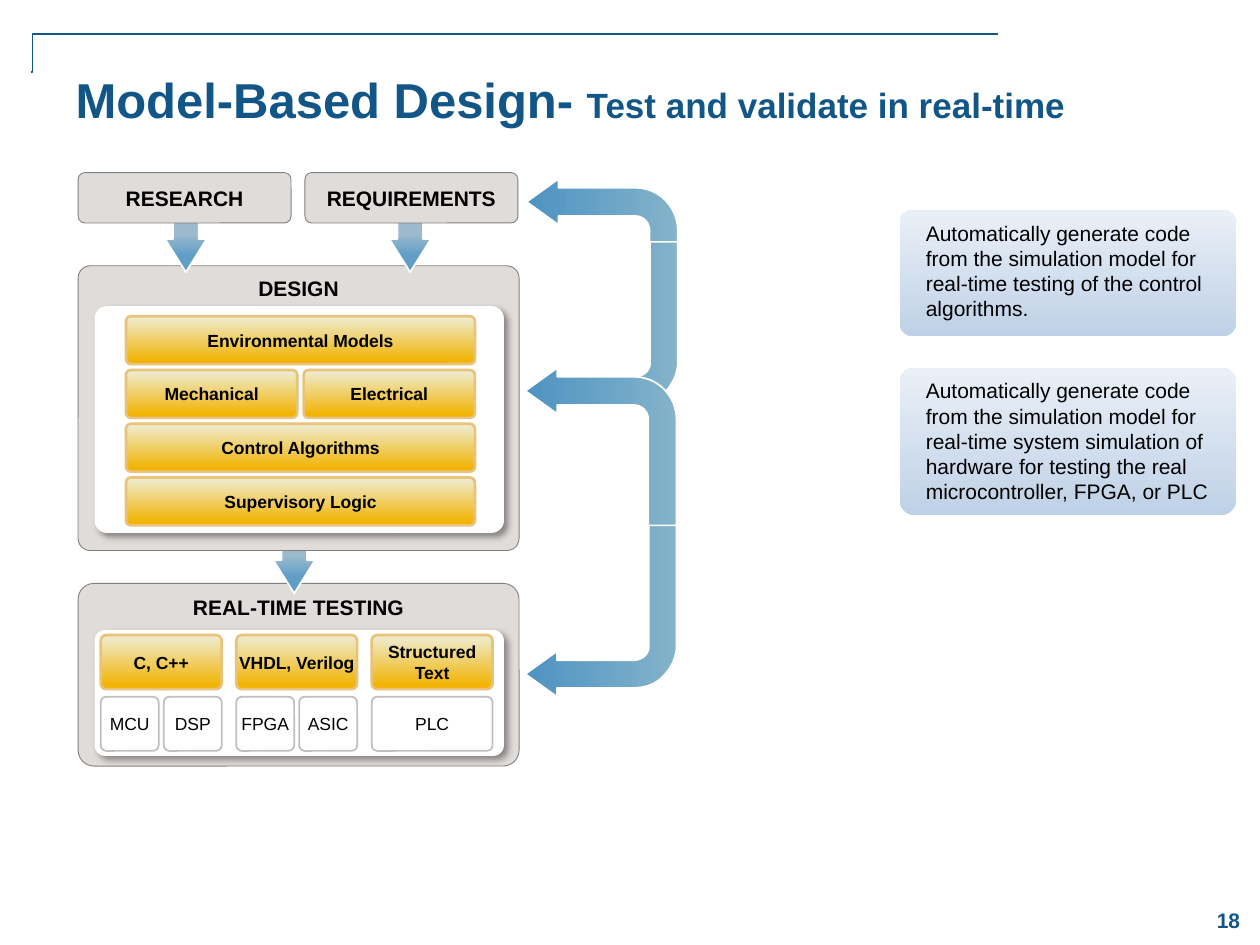
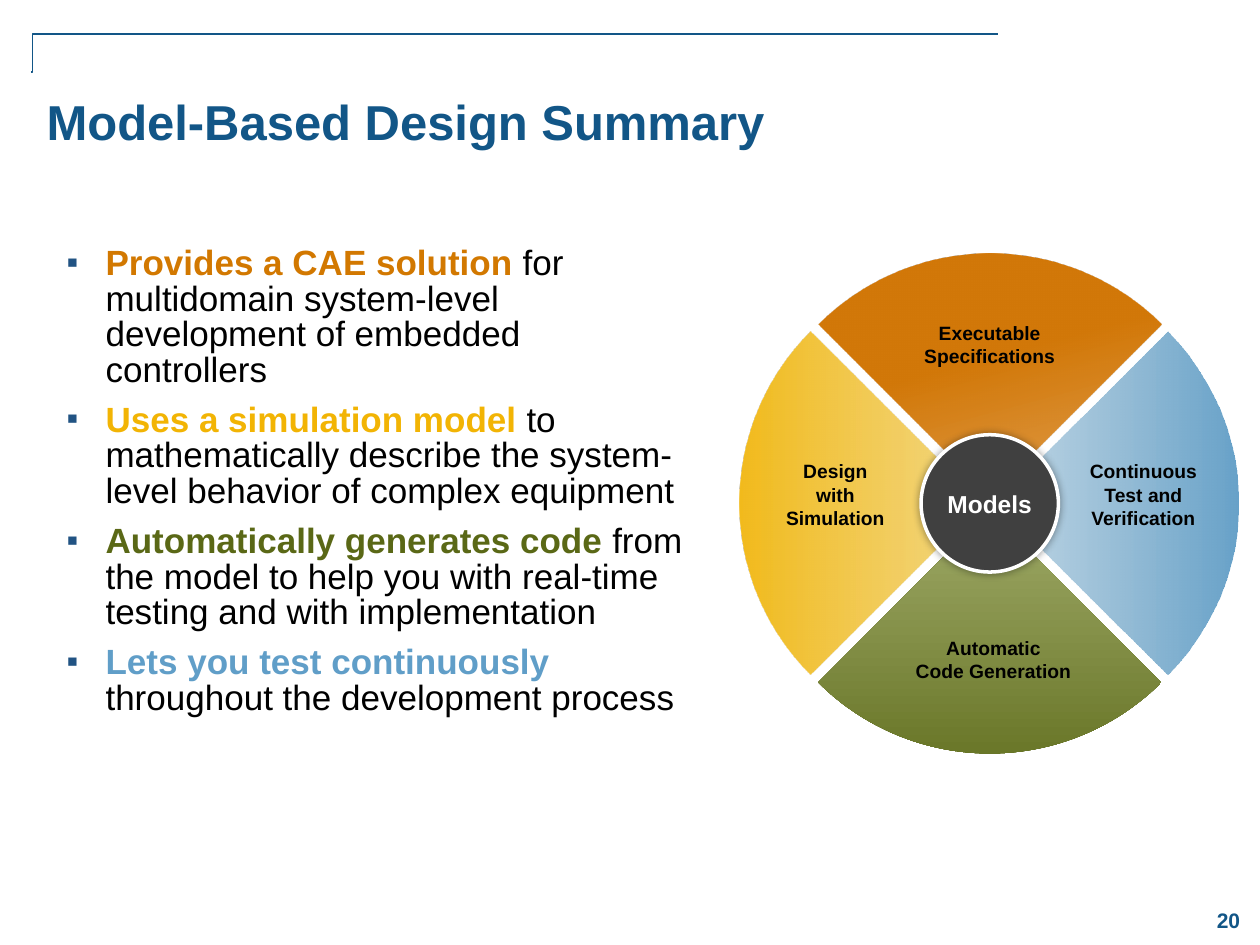
from lxml.etree import SubElement
from pptx import Presentation
from pptx.dml.color import RGBColor
from pptx.enum.shapes import MSO_CONNECTOR as Conn, MSO_SHAPE as Kind
from pptx.enum.text import MSO_ANCHOR as Anchor, MSO_AUTO_SIZE as Auto, PP_ALIGN as Align
from pptx.oxml.ns import qn
from pptx.util import Inches, Pt

NAVY, BLACK, WHITE = "125687", "000000", "FFFFFF"
GOLD = ([(7, "F2B404"), (95, "EEEACA")], 270)
PALE = ([(0, "BFD1E7"), (100, "EAF0F7")], 270)
STEEL = ([(60, "9CBACC"), (82, "609EC8")], 0)
FLOW = [(0, "4E93C2"), (100, "84B3CA")]
DROP = (40, 4, 3, 45)
GLOW = (40, 5, 0, 0)

SOURCES = ["RESEARCH", "REQUIREMENTS"]
DESIGN = [["Environmental Models"], ["Mechanical", "Electrical"],
          ["Control Algorithms"], ["Supervisory Logic"]]
CODE = {"C, C++": ["MCU", "DSP"], "VHDL, Verilog": ["FPGA", "ASIC"],
        "Structured Text": ["PLC"]}
NOTES = [
    (1.67, 1, "Automatically generate code from the simulation model for "
     "real-time testing of the control algorithms."),
    (2.92, 1.17, "Automatically generate code from the simulation model for "
     "real-time system simulation of hardware for testing the real "
     "microcontroller, FPGA, or PLC"),
]
POINTS = [
    ("Provides a CAE solution ", "D27800",
     "for multidomain system-level development of embedded controllers"),
    ("Uses a simulation model ", "F2B404",
     "to mathematically describe the system-level behavior of complex equipment"),
    ("Automatically generates code ", "5A6816",
     "from the model to help you with real-time testing and with implementation"),
    ("Lets you test continuously ", "609EC8",
     "throughout the development process"),
]
WEDGES = [
    (5.93, 2.01, 45, False, [(34, "D27809"), (100, "FDE5C7", 82)], 30),
    (5.87, 2.07, 315, False, [(7, "F2B404"), (95, "EEEACA", 60)], 45),
    (5.98, 2.07, 45, True, [(0, "609EC8"), (100, "9CBACC", 48)], 45),
    (5.93, 2.13, 135, True, [(4, "5A6816"), (100, "EBF2C3")], 45),
]
LABELS = [
    (6.04, 3.6, 1.18, ["Design", "with", "Simulation"]),
    (7.12, 2.5, 1.47, ["Executable", "Specifications"]),
    (8.38, 3.6, 1.39, ["Continuous", "Test and", "Verification"]),
    (7, 5, 1.77, ["Automatic", "Code Generation"]),
]


def rgb(code):
    return RGBColor.from_string(code)


def tint(node, code, alpha=100):
    color = SubElement(node, qn("a:srgbClr"), val=code)
    if alpha < 100:
        SubElement(color, qn("a:alpha"), val=str(alpha * 1000))


def write(frame, paras, size=12, color=BLACK, bold=False, align=Align.LEFT,
          anchor=Anchor.TOP, inset=None, bullet=None):
    frame.word_wrap = True
    frame.auto_size = Auto.NONE
    frame.vertical_anchor = anchor
    if inset is not None:
        frame.margin_left = frame.margin_right = Inches(inset)
        frame.margin_top = frame.margin_bottom = Inches(inset)
    for i, runs in enumerate([paras] if isinstance(paras, str) else paras):
        para = frame.add_paragraph() if i else frame.paragraphs[0]
        para.alignment = align
        if bullet:
            mark(para, bullet)
            para.line_spacing = 0.85
            para.space_before = Pt(4 if i else 0)
            para.space_after = Pt(4)
        for text, look in [(runs, {})] if isinstance(runs, str) else runs:
            run = para.add_run()
            run.text = text
            font = run.font
            font.name = "Arial"
            font.size = Pt(look.get("size", size))
            font.bold = look.get("bold", bold)
            font.color.rgb = rgb(look.get("color", color))


def mark(para, sign):
    props = para._p.get_or_add_pPr()
    props.set("marL", str(Inches(0.31)))
    props.set("indent", str(-Inches(0.31)))
    tint(SubElement(props, qn("a:buClr")), "215383")
    SubElement(props, qn("a:buSzPct"), val="95000")
    SubElement(props, qn("a:buFont"), typeface="Arial")
    SubElement(props, qn("a:buChar"), char=sign)


def shade(shape, stops, angle):
    shape.fill.gradient()
    grad = shape._element.spPr.find(qn("a:gradFill"))
    for node in list(grad):
        grad.remove(node)
    grad.set("rotWithShape", "1")
    bag = SubElement(grad, qn("a:gsLst"))
    for spot, *color in stops:
        tint(SubElement(bag, qn("a:gs"), pos=str(spot * 1000)), *color)
    SubElement(grad, qn("a:lin"), ang=str(angle * 60000), scaled="0")


def paint(shape, fill, line=None, weight=1, shadow=None):
    if isinstance(fill, str):
        shape.fill.solid()
        shape.fill.fore_color.rgb = rgb(fill)
    else:
        shade(shape, *fill)
    if line:
        shape.line.color.rgb = rgb(line)
        shape.line.width = Pt(weight)
    else:
        shape.line.fill.background()
    shape.shadow.inherit = False
    if shadow:
        alpha, blur, dist, way = shadow
        bag = shape._element.spPr.find(qn("a:effectLst"))
        node = SubElement(bag, qn("a:outerShdw"), blurRad=str(Pt(blur)),
                          dist=str(Pt(dist)), dir=str(way * 60000),
                          algn="ctr", rotWithShape="0")
        tint(node, BLACK, alpha)


def draw(slide, kind, area, fill, line=None, weight=1, shadow=None,
         adj=(), turn=0, flip=False):
    shape = slide.shapes.add_shape(kind, *map(Inches, area))
    for i, value in enumerate(adj):
        shape.adjustments[i] = value
    shape.rotation = turn
    if flip:
        shape._element.spPr.find(qn("a:xfrm")).set("flipH", "1")
    paint(shape, fill, line, weight, shadow)
    return shape


def label(slide, area, text, **look):
    box = slide.shapes.add_textbox(*map(Inches, area))
    write(box.text_frame, text, **look)


def row(slide, names, left, top, width, height, gap, style, **look):
    wide = (width - gap * (len(names) - 1)) / len(names)
    for i, name in enumerate(names):
        area = (left + i * (wide + gap), top, wide, height)
        box = draw(slide, Kind.ROUNDED_RECTANGLE, area, **style)
        write(box.text_frame, name, align=Align.CENTER, anchor=Anchor.MIDDLE, **look)


def panel(slide, name, top, height, bend, lead, inner, curve):
    box = draw(slide, Kind.ROUNDED_RECTANGLE, (0.62, top, 3.5, height),
               "E0DCDA", "808080", 0.5, adj=[bend])
    write(box.text_frame, name, bold=True, align=Align.CENTER)
    draw(slide, Kind.ROUNDED_RECTANGLE, (0.75, top + lead, 3.25, inner),
         WHITE, shadow=DROP, adj=[curve])


def arrow(slide, left, top):
    draw(slide, Kind.LEFT_RIGHT_ARROW, (left, top, 0.75, 0.33), STEEL, WHITE,
         adj=[0.614, 0.798], turn=90)


def curve(a, b, c, d, steps=12):
    for i in range(1, steps + 1):
        t = i / steps
        u = 1 - t
        yield tuple(u**3 * p + 3 * u * u * t * q + 3 * u * t * t * r + t**3 * s
                    for p, q, r, s in zip(a, b, c, d))


def loop(slide, left, top, height, low):
    draw(slide, Kind.BENT_ARROW, (left, top, 1.2, height), (FLOW, 180), WHITE,
         adj=[0.187, 0.152, 0.211, 0.281], flip=True)
    dots = [(1.2, 0), (1.2, 0.96),
            *curve((1.2, 0.96), (1.2, 1.04), (1.16, 1.13), (1.1, 1.19)),
            *curve((1.1, 1.19), (1.04, 1.26), (0.95, 1.29), (0.86, 1.29)),
            (0.25, 1.29), (0.25, 1.36), (0, 1.18), (0.25, 1), (0.25, 1.07),
            (0.86, 1.07),
            *curve((0.86, 1.07), (0.93, 1.07), (0.98, 1.02), (0.98, 0.96)),
            (0.98, 0)]
    spots = [(Inches(left + x), Inches(low + y)) for x, y in dots]
    pen = slide.shapes.build_freeform(*spots[0])
    pen.add_line_segments(spots[1:], close=True)
    paint(pen.convert_to_shape(), (FLOW, 0), WHITE)


def start(deck, number, title, area):
    slide = deck.slides.add_slide(deck.slide_layouts[5])
    head = slide.shapes.title
    head.left, head.top, head.width, head.height = map(Inches, area)
    write(head.text_frame, title, size=28, color=NAVY, bold=True)
    rule = slide.shapes.add_connector(
        Conn.ELBOW, *map(Inches, (7.92, 0.27, 0.25, 0.57)))
    rule.line.color.rgb = rgb(NAVY)
    rule.line.width = Pt(1)
    props = rule._element.spPr
    SubElement(props, qn("a:effectLst"))
    geom = props.find(qn("a:prstGeom"))
    bag = geom.find(qn("a:avLst"))
    if bag is None:
        bag = SubElement(geom, qn("a:avLst"))
    SubElement(bag, qn("a:gd"), name="adj1", fmla="val 99900")
    label(slide, (9.5, 7.09, 0.5, 0.42), str(number), color=NAVY, bold=True,
          align=Align.CENTER, anchor=Anchor.MIDDLE)
    return slide


def testing(deck):
    title = [[("Model-Based Design- ", {}),
              ("Test and validate in real-time", {"size": 20})]]
    slide = start(deck, 18, title, (0.5, 0.5, 8.83, 1.08))
    gold = dict(fill=GOLD, line="E9C27B", weight=1.5, adj=[0.102])
    chip = dict(fill=WHITE, line="BFBFBF", adj=[0.102])
    gray = dict(fill="E0DCDA", line="808080", weight=0.5, adj=[0.135])

    panel(slide, "REAL-TIME TESTING", 4.63, 1.45, 0.087, 0.37, 1, 0.086)
    arrow(slide, 1.96, 4.17)
    loop(slide, 4.18, 1.42, 1.33, 1.92)
    panel(slide, "DESIGN", 2.11, 2.26, 0.043, 0.32, 1.8, 0.055)
    for i, names in enumerate(DESIGN):
        row(slide, names, 1, 2.51 + i * 1.28 / 3, 2.77, 0.38, 0.05, gold,
            size=10, bold=True, inset=0.01)
    loop(slide, 4.17, 2.92, 2.08, 4.17)
    for top, height, text in NOTES:
        draw(slide, Kind.ROUNDED_RECTANGLE, (7.14, top, 2.67, height), PALE,
             adj=[0.102])
        label(slide, (7.25, top + 0.03, 2.5, height - 0.07), text)
    for left in (1.1, 2.88):
        arrow(slide, left, 1.62)
    row(slide, SOURCES, 0.62, 1.37, 3.49, 0.4, 0.11, gray, bold=True)
    row(slide, list(CODE), 0.8, 5.04, 3.11, 0.43, 0.115, gold,
        size=10, bold=True, inset=0.01)
    for i, chips in enumerate(CODE.values()):
        row(slide, chips, 0.8 + i * 1.075, 5.53, 0.96, 0.43, 0.04, chip,
            size=10, inset=0)


def summary(deck):
    slide = start(deck, 20, "Model-Based Design Summary", (0.27, 0.68, 9.17, 1.25))
    paras = [[(lead, {"color": color, "bold": True}), (rest, {})]
             for lead, color, rest in POINTS]
    label(slide, (0.43, 1.91, 5.1, 4.83), paras, size=20, bullet="▪")
    for left, top, turn, flip, stops, angle in WEDGES:
        draw(slide, Kind.PIE, (left, top, 3.85, 3.85), (stops, angle),
             adj=[108, 162], turn=turn, flip=flip)
    for left, top, width, lines in LABELS:
        label(slide, (left, top, width, 0.1 + 0.18 * len(lines)), lines,
              size=11, bold=True, align=Align.CENTER)
    hub = draw(slide, Kind.OVAL, (7.31, 3.45, 1.09, 1.09), "404040", WHITE, 2, GLOW)
    write(hub.text_frame, "Models", size=14, color=WHITE, bold=True,
          align=Align.CENTER, anchor=Anchor.MIDDLE, inset=0)


def main():
    deck = Presentation()
    deck.slide_width, deck.slide_height = Inches(10), Inches(7.5)
    testing(deck)
    summary(deck)
    deck.save("out.pptx")


if __name__ == "__main__":
    main()
